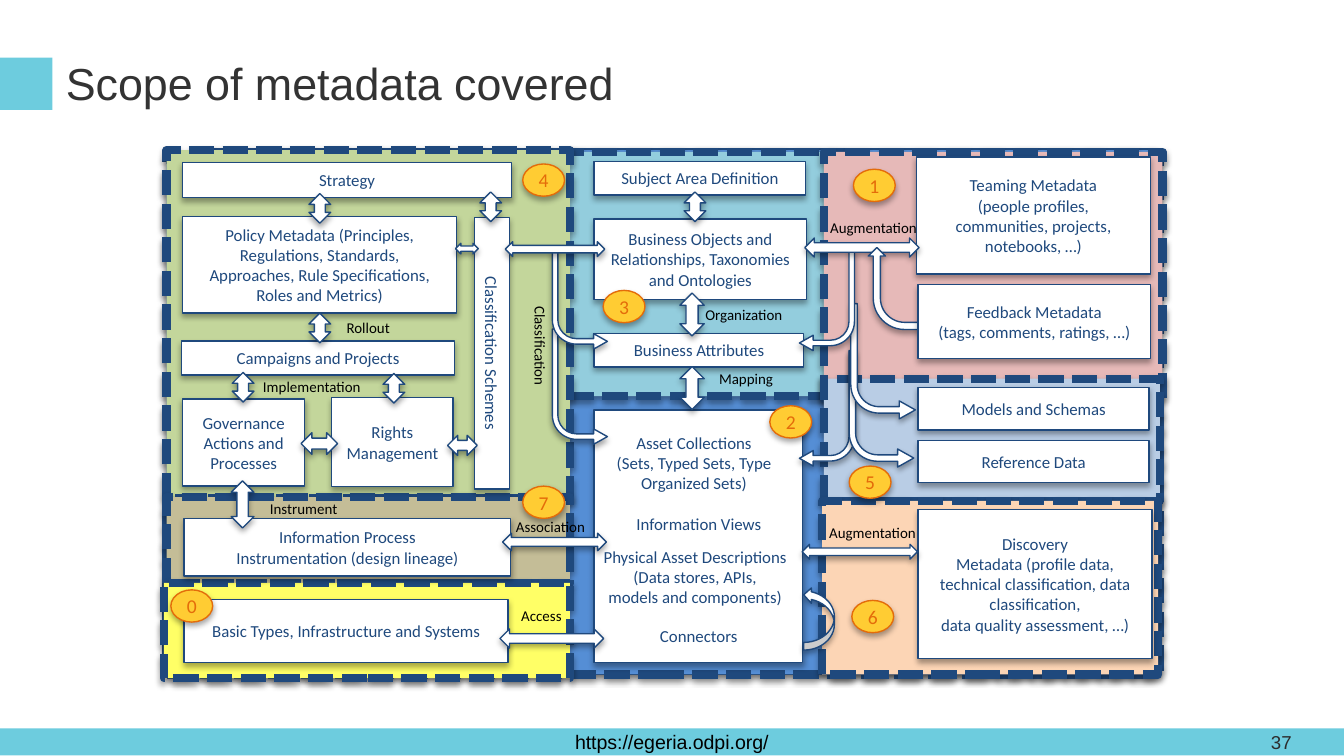
import pptx
import pptx.util
import pptx.dml.color
import pptx.enum.dml
import pptx.enum.shapes
import pptx.enum.text
import pptx.oxml
import pptx.oxml.ns

SHAPE = pptx.enum.shapes.MSO_SHAPE
ANCHOR = pptx.enum.text.MSO_ANCHOR
ALIGN = pptx.enum.text.PP_ALIGN
FIT = pptx.enum.text.MSO_AUTO_SIZE
CM_PER_INCH = 2.54
NAVY, WHITE, BLACK, CYAN = "1F497D", "FFFFFF", "000000", "6DCCDE"
AMBER, ORANGE = "FFCC33", "E46C0A"

TITLE = "Scope of metadata covered"
LINK = "https://egeria.odpi.org/"
PAGE_NUMBER = "37"

# All positions are left, top, width, height in inches.
REGIONS = [
    ((1.24, 1.19, 7.39, 3.83), "558ED5"),
    ((4.07, 1.13, 2.2, 1.82), "93CDDD"),
    ((6.13, 1.13, 2.52, 1.84), "E6B9B8"),
    ((1.24, 1.12, 3, 2.59), "C3D69B"),
    ((6.13, 2.82, 2.5, 0.91), "B9CDE5"),
    ((6.12, 3.73, 2.5, 1.29), "FCD5B5"),
    ((1.24, 3.7, 3, 0.64), "C4BD97"),
    ((1.22, 4.34, 3.02, 0.71), "FFFF66"),
]
BOXES = [
    ((1.36, 1.21, 2.45, 0.26), ["Strategy"]),
    ((1.36, 1.61, 2.04, 0.72), ["Policy Metadata (Principles, Regulations, Standards, "
                                "Approaches, Rule Specifications, Roles and Metrics)"]),
    ((1.35, 2.54, 2.03, 0.25), ["Campaigns and Projects"]),
    ((1.36, 2.97, 0.91, 0.65), ["Governance Actions and Processes"]),
    ((2.47, 2.96, 0.9, 0.66), ["Rights", "Management"]),
    ((1.37, 3.86, 2.43, 0.43), ["Information Process", "Instrumentation (design lineage)"]),
    ((1.37, 4.46, 2.41, 0.47), ["Basic Types, Infrastructure and Systems"]),
    ((4.42, 1.2, 1.57, 0.25), ["Subject Area Definition"]),
    ((4.42, 1.63, 1.58, 0.6), ["Business Objects and Relationships, Taxonomies and Ontologies"]),
    ((4.42, 2.48, 1.56, 0.25), ["Business Attributes"]),
    ((4.42, 3.05, 1.55, 1.88), []),
    ((6.82, 1.17, 1.74, 0.87), ["Teaming Metadata", "(people profiles, communities, projects,",
                                "notebooks, …)"]),
    ((6.83, 2.88, 1.72, 0.32), ["Models and Schemas"]),
    ((6.83, 3.28, 1.72, 0.31), ["Reference Data"]),
    ((6.83, 3.79, 1.74, 1.11), ["Discovery", "Metadata (profile data, technical classification, "
                                "data classification,", "data quality assessment, …)"]),
]
SCHEMES = ((2.65, 2.5, 2.02, 0.26), ["Classification Schemes"])
FEEDBACK = ((6.83, 2.12, 1.73, 0.55), ["Feedback Metadata", "(tags, comments, ratings, …)"])
ASSET_TEXTS = [
    ((4.36, 3.17, 1.61, 0.56), ["Asset Collections", "(Sets, Typed Sets, Type Organized Sets)"]),
    ((4.41, 3.77, 1.58, 0.25), ["Information Views"]),
    ((4.35, 4.02, 1.64, 0.56), ["Physical Asset Descriptions", "(Data stores, APIs,",
                                "models and components)"]),
    ((4.41, 4.61, 1.58, 0.25), ["Connectors"]),
]
SHORT_ARROWS = [(2.3, 1.44), (5.09, 1.43), (2.3, 2.33), (3.57, 1.43), (1.73, 2.77), (2.85, 2.78)]
TALL_ARROWS = [(5.06, 2.73, 0.18, 0.32), (5.06, 2.18, 0.18, 0.32), (1.72, 3.58, 0.17, 0.35)]
WIDE_ARROWS = [
    (2.24, 3.22, 0.27, 0.16), (3.33, 3.24, 0.22, 0.15), (3.39, 1.81, 0.17, 0.08),
    (3.76, 1.8, 0.74, 0.11), (5.99, 1.77, 0.85, 0.14), (5.97, 4.05, 0.86, 0.11),
    (3.74, 3.97, 0.77, 0.13), (3.72, 4.68, 0.77, 0.14),
]
BENT_ARROWS = [
    ((4.11, 2.45, 0.41, 0.86), "V"), ((4.11, 1.86, 0.41, 0.74), "V"),
    ((5.95, 2.61, 0.41, 0.86), "HV"), ((6.32, 2.62, 0.48, 0.86), "V"),
    ((6.33, 2.26, 0.48, 0.86), "V"), ((5.95, 1.86, 0.41, 0.75), "HV"),
]
BEND = (0.1, 0.14, 0.25, 0.44)
FEEDBACK_ARROW = (6.42, 1.88, 0.61, 0.53)
FEEDBACK_BEND = (0.1, 0.12, 0.12, 0.44)
LOOP_ARROW = (5.98, 4.37, 0.23, 0.47)
LABELS = [
    ("Augmentation", (6.08, 1.58, 0.85, 0.24), 0),
    ("Mapping", (5.25, 2.7, 0.61, 0.24), 0),
    ("Implementation", (1.86, 2.76, 0.94, 0.24), 0),
    ("Organization", (5.15, 2.23, 0.79, 0.24), 0),
    ("Classification", (3.62, 2.46, 0.8, 0.24), 90),
    ("Rollout", (2.48, 2.32, 0.54, 0.24), 0),
    ("Augmentation", (6.07, 3.85, 0.85, 0.24), 0),
    ("Instrument", (1.91, 3.67, 0.72, 0.24), 0),
    ("Association", (3.74, 3.8, 0.72, 0.24), 0),
    ("Access", (3.78, 4.47, 0.51, 0.24), 0),
]
NUMBERS = {"0": (1.27, 4.39), "1": (6.35, 1.26), "2": (5.73, 3.02), "3": (4.49, 2.16),
           "4": (3.89, 1.22), "5": (6.32, 3.47), "6": (6.34, 4.47), "7": (3.89, 3.62)}


def lengths(*inches):
    return [pptx.util.Cm(round(value * CM_PER_INCH, 2)) for value in inches]


def colour(value):
    return pptx.dml.color.RGBColor.from_string(value)


def write(item, lines, size, ink, font="Calibri", align=ALIGN.CENTER,
          anchor=ANCHOR.MIDDLE, wrap=True):
    frame = item.text_frame
    frame.word_wrap = wrap
    frame.vertical_anchor = anchor
    for index, line in enumerate(lines):
        para = frame.paragraphs[0] if index == 0 else frame.add_paragraph()
        para.alignment = align
        span = para.add_run()
        span.text = line
        span.font.size = pptx.util.Pt(size)
        span.font.name = font
        span.font.color.rgb = colour(ink)


def add_text(place, lines, size, ink, **style):
    box = page.shapes.add_textbox(*lengths(*place))
    write(box, lines, size, ink, **style)
    box.text_frame.auto_size = FIT.SHAPE_TO_FIT_TEXT
    return box


def add_flat(place, fill):
    shape = page.shapes.add_shape(SHAPE.RECTANGLE, *lengths(*place))
    shape.shadow.inherit = False
    shape.fill.solid()
    shape.fill.fore_color.rgb = colour(fill)
    shape.line.fill.background()
    return shape


def add_raised(kind, place, fill=WHITE, line=NAVY, width=0.75, flip="", bend=()):
    shape = page.shapes.add_shape(kind, *lengths(*place))
    shape.shadow.inherit = False
    shape.fill.solid()
    shape.fill.fore_color.rgb = colour(fill)
    shape.line.color.rgb = colour(line)
    shape.line.width = pptx.util.Pt(width)
    for index, value in enumerate(bend):
        shape.adjustments[index] = value
    properties = shape._element.spPr
    for axis in flip:
        properties.xfrm.set("flip" + axis, "1")
    effects = properties.find(pptx.oxml.ns.qn("a:effectLst"))
    effects.append(pptx.oxml.parse_xml(
        f'<a:outerShdw {pptx.oxml.ns.nsdecls("a")} blurRad="40000" dist="23000" '
        'dir="5400000" rotWithShape="0"><a:srgbClr val="000000">'
        '<a:alpha val="35000"/></a:srgbClr></a:outerShdw>'))
    return shape


def add_box(place, lines):
    box = add_raised(SHAPE.RECTANGLE, place)
    write(box, lines, 9, NAVY)
    return box


deck = pptx.Presentation()
deck.slide_width, deck.slide_height = lengths(10, 5.625)
page = deck.slides.add_slide(deck.slide_layouts[5])

write(add_flat((0, 5.42, 10, 0.2), CYAN), [LINK], 10.5, BLACK, font="Arial")
add_flat((0, 0.43, 0.39, 0.39), CYAN)
title = page.shapes.title
title.left, title.top, title.width, title.height = lengths(0.39, 0.32, 9.27, 0.62)
write(title, [TITLE], 24, "333333", font="Arial", align=ALIGN.LEFT, anchor=ANCHOR.TOP)
title.text_frame.auto_size = FIT.NONE
title.text_frame.margin_top = title.text_frame.margin_bottom = lengths(0.1)[0]

add_raised(SHAPE.RECTANGLE, (1.45, 1.11, 7.15, 3.91), "558ED5")
for place, fill in REGIONS:
    region = add_raised(SHAPE.RECTANGLE, place, fill, width=4.5)
    region.line.dash_style = pptx.enum.dml.MSO_LINE.SQUARE_DOT

for place, lines in BOXES:
    add_box(place, lines)
add_box(*SCHEMES).rotation = 90
for place, lines in ASSET_TEXTS:
    add_text(place, lines, 9, NAVY, anchor=ANCHOR.TOP)

for place in [(left, top, 0.16, 0.22) for left, top in SHORT_ARROWS] + TALL_ARROWS:
    add_raised(SHAPE.UP_DOWN_ARROW, place)
for place, flip in BENT_ARROWS:
    add_raised(SHAPE.BENT_ARROW, place, flip=flip, bend=BEND)
for place in WIDE_ARROWS:
    add_raised(SHAPE.LEFT_RIGHT_ARROW, place)
add_raised(SHAPE.CURVED_LEFT_ARROW, LOOP_ARROW, flip="V")
add_raised(SHAPE.BENT_ARROW, FEEDBACK_ARROW, flip="HV", bend=FEEDBACK_BEND).rotation = 90
add_box(*FEEDBACK)

for label, place, angle in LABELS:
    add_text(place, [label], 8, BLACK, align=ALIGN.LEFT, anchor=ANCHOR.TOP,
             wrap=False).rotation = angle
for number, (left, top) in NUMBERS.items():
    disc = add_raised(SHAPE.OVAL, (left, top, 0.31, 0.24), AMBER, ORANGE)
    write(disc, [number], 10.5, ORANGE, wrap=False)

counter = add_text((9.36, 5.42, 0.6, 0.2), [PAGE_NUMBER], 10, "2C2C2C", font="Arial",
                   align=ALIGN.LEFT)
counter.text_frame.auto_size = FIT.NONE

deck.save("out.pptx")
